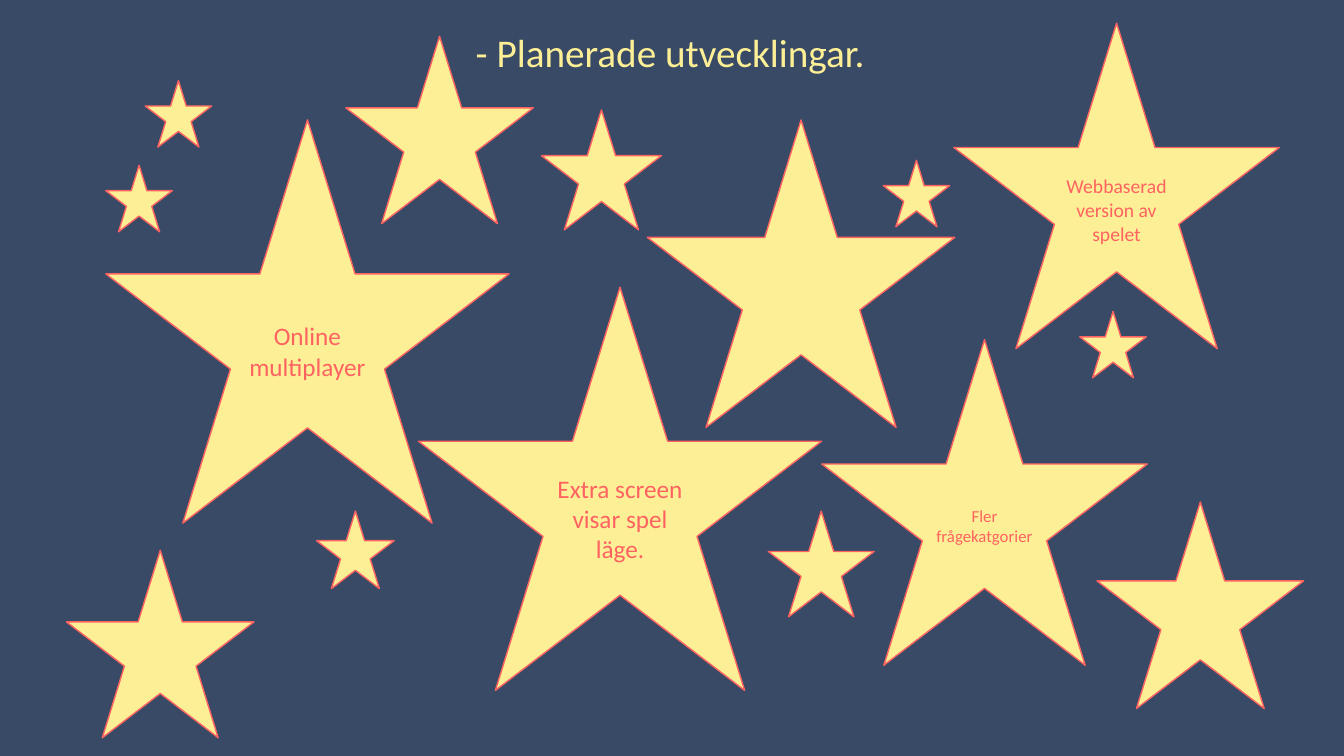
from pptx import Presentation
from pptx.dml.color import RGBColor
from pptx.enum.shapes import MSO_SHAPE
from pptx.enum.text import MSO_ANCHOR, MSO_AUTO_SIZE, PP_ALIGN
from pptx.util import Inches, Pt

NAVY = RGBColor(0x39, 0x4A, 0x66)
YELLOW = RGBColor(0xFD, 0xEF, 0x96)
CORAL = RGBColor(0xFF, 0x63, 0x61)

# Stars with an idea: left, top, size, lines, font size
IDEA_STARS = [
    (1.05, 1.19, 4, ["Online", "multiplayer"], 18),
    (4.15, 2.85, 4, ["Extra screen visar spel läge."], 18),
    (9.46, 0.23, 3.23, ["Webbaserad version av spelet"], 14),
    (8.15, 3.37, 3.23, ["Fler frågekatgorier"], 12),
]

# Decorative stars: left, top, size
PLAIN_STARS = [
    (6.42, 1.19, 3.05),
    (3.43, 0.36, 1.86),
    (3.14, 5.07, 0.77),
    (0.66, 5.46, 1.86),
    (7.62, 5.07, 1.05),
    (5.37, 1.09, 1.19),
    (1.44, 0.8, 0.66),
    (1.05, 1.64, 0.66),
    (8.76, 1.59, 0.66),
    (10.71, 3.09, 0.66),
    (10.88, 4.98, 2.05),
]


class StarSlide:
    font_name = "Calibri"

    def __init__(self, presentation):
        self.slide = presentation.slides.add_slide(presentation.slide_layouts[6])
        background = self.slide.background.fill
        background.solid()
        background.fore_color.rgb = NAVY

    def style(self, paragraph, size, color):
        paragraph.font.name = self.font_name
        paragraph.font.size = Pt(size)
        paragraph.font.color.rgb = color

    def title(self, text, left, top, width, height):
        box = self.slide.shapes.add_textbox(
            Inches(left), Inches(top), Inches(width), Inches(height))
        frame = box.text_frame
        frame.word_wrap = True
        frame.auto_size = MSO_AUTO_SIZE.SHAPE_TO_FIT_TEXT
        frame.text = text
        self.style(frame.paragraphs[0], 28, YELLOW)

    def star(self, left, top, size, lines=(), font_size=18):
        shape = self.slide.shapes.add_shape(
            MSO_SHAPE.STAR_5_POINT,
            Inches(left), Inches(top), Inches(size), Inches(size))
        shape.shadow.inherit = False
        shape.fill.solid()
        shape.fill.fore_color.rgb = YELLOW
        shape.line.color.rgb = CORAL
        shape.line.width = Pt(1)
        if lines:
            frame = shape.text_frame
            frame.word_wrap = True
            frame.vertical_anchor = MSO_ANCHOR.MIDDLE
            frame.text = "\n".join(lines)
            for paragraph in frame.paragraphs:
                paragraph.alignment = PP_ALIGN.CENTER
                self.style(paragraph, font_size, CORAL)


def main():
    presentation = Presentation()
    presentation.slide_width = Inches(13.33)
    presentation.slide_height = Inches(7.5)
    star_slide = StarSlide(presentation)

    # Title
    star_slide.title("- Planerade utvecklingar.", 4.62, 0.23, 4.09, 0.57)

    # Stars
    for star in IDEA_STARS + PLAIN_STARS:
        star_slide.star(*star)

    presentation.save("out.pptx")


if __name__ == "__main__":
    main()
